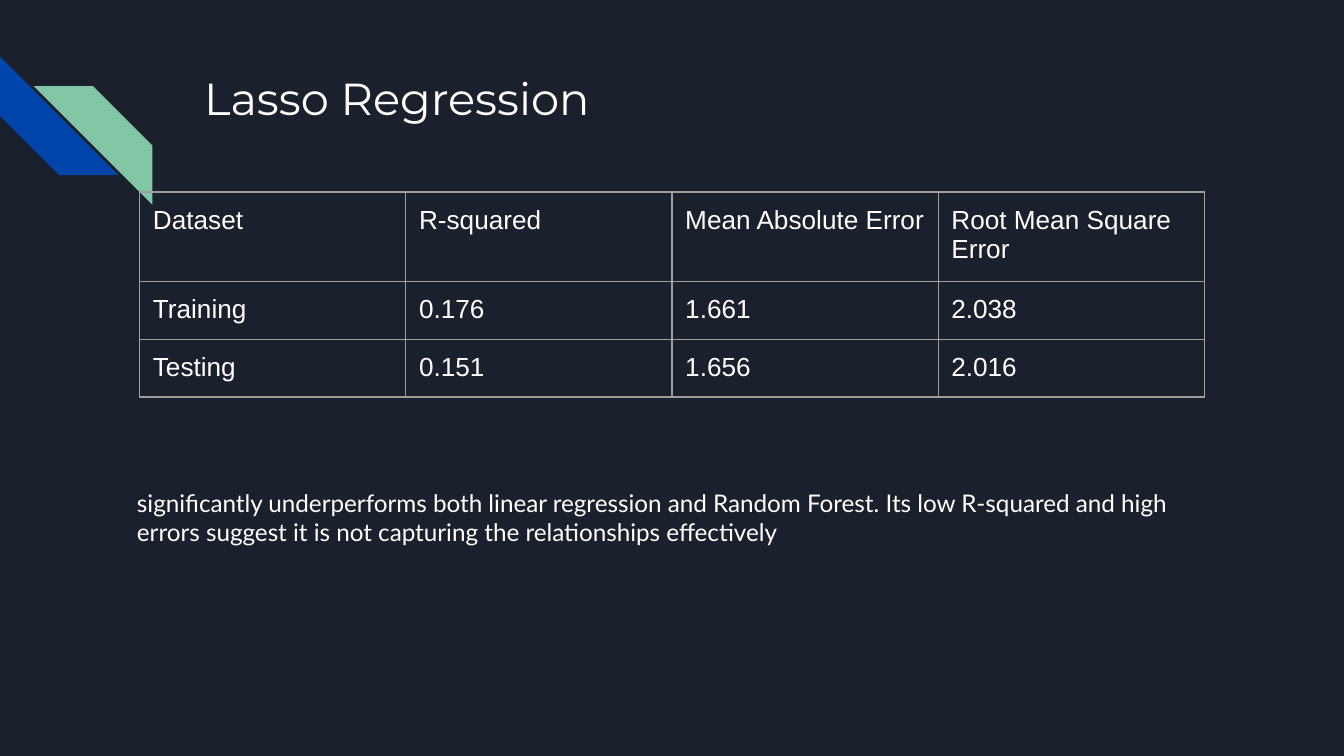
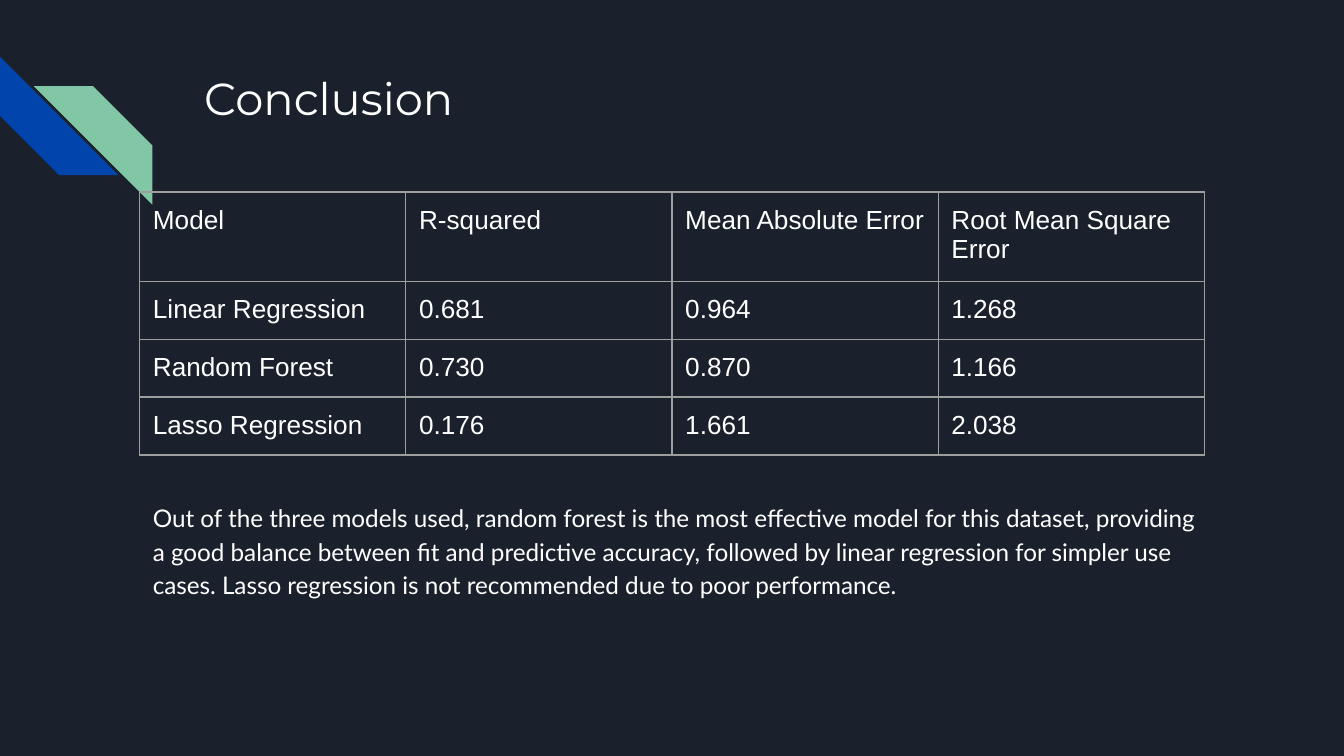
from dataclasses import dataclass

from lxml import etree
from pptx import Presentation
from pptx.dml.color import RGBColor
from pptx.enum.shapes import MSO_SHAPE
from pptx.enum.text import MSO_ANCHOR
from pptx.oxml.ns import qn
from pptx.util import Cm, Pt

STRIPE = MSO_SHAPE.DIAGONAL_STRIPE
TOP = MSO_ANCHOR.TOP
BLANK_LAYOUT = 6


@dataclass(frozen=True)
class Theme:
    background: str = "1B212C"
    blue: str = "0145AC"
    green: str = "82C7A5"
    text: str = "FFFFFF"
    border: str = "9E9E9E"
    title_font: str = "Montserrat"
    table_font: str = "Arial"
    note_font: str = "Lato"
    title_size: int = 24
    table_size: int = 14
    note_size: int = 13
    border_width: float = 0.75
    inset: float = 0.25


def color(value):
    return RGBColor.from_string(value)


def write(frame, text, *, font, size, fill, spacing=None, after=None):
    """Put one formatted paragraph into a text frame."""
    para = frame.paragraphs[0]
    para.line_spacing = spacing
    para.space_after = None if after is None else Pt(after)
    span = para.add_run()
    span.text = text
    span.font.name = font
    span.font.size = Pt(size)
    span.font.color.rgb = color(fill)


class Slides:
    """Holds the deck, its theme and the current page."""

    def __init__(self, theme):
        self.theme = theme
        self.deck = Presentation()
        self.deck.slide_width = Cm(25.4)
        self.deck.slide_height = Cm(14.29)
        self.page = None

    def start_page(self, title):
        theme = self.theme
        self.page = self.deck.slides.add_slide(self.deck.slide_layouts[BLANK_LAYOUT])
        self.page.background.fill.solid()
        self.page.background.fill.fore_color.rgb = color(theme.background)
        self.stripe(0, 1.07, 270, theme.blue)
        self.stripe(0.64, 1.63, 90, theme.green)
        self.text_box(title, 3.61, 1.09, 19.56, 2.54,
                      font=theme.title_font, size=theme.title_size)

    def stripe(self, left, top, rotation, fill):
        side = Cm(2.24)
        shape = self.page.shapes.add_shape(STRIPE, Cm(left), Cm(top), side, side)
        shape.rotation = rotation
        shape.shadow.inherit = False
        shape.fill.solid()
        shape.fill.fore_color.rgb = color(fill)
        shape.line.fill.background()

    def set_insets(self, target):
        inset = Cm(self.theme.inset)
        target.margin_left = target.margin_right = inset
        target.margin_top = target.margin_bottom = inset
        target.vertical_anchor = TOP

    def text_box(self, text, left, top, width, height, **style):
        box = self.page.shapes.add_textbox(Cm(left), Cm(top), Cm(width), Cm(height))
        box.text_frame.word_wrap = True
        self.set_insets(box.text_frame)
        write(box.text_frame, text, fill=self.theme.text, **style)

    def note(self, text, left, top, width, height, **style):
        self.text_box(text, left, top, width, height,
                      font=self.theme.note_font, size=self.theme.note_size, **style)

    def table(self, rows, left=2.64, top=3.63, column_width=5.03, row_height=1.07):
        theme = self.theme
        columns = len(rows[0])
        table = self.page.shapes.add_table(
            len(rows), columns, Cm(left), Cm(top),
            Cm(column_width * columns), Cm(row_height * len(rows))).table
        table.first_row = False
        table.horz_banding = False
        for row, values in enumerate(rows):
            for column, value in enumerate(values):
                cell = table.cell(row, column)
                self.set_insets(cell)
                self.set_borders(cell)
                cell.fill.background()
                write(cell.text_frame, value, font=theme.table_font,
                      size=theme.table_size, fill=theme.text)

    def set_borders(self, cell):
        properties = cell._tc.get_or_add_tcPr()
        for edge in ("a:lnL", "a:lnR", "a:lnT", "a:lnB"):
            line = etree.SubElement(properties, qn(edge),
                                    w=str(Pt(self.theme.border_width)))
            fill = etree.SubElement(line, qn("a:solidFill"))
            etree.SubElement(fill, qn("a:srgbClr"), val=self.theme.border)


METRICS = ["R-squared", "Mean Absolute Error", "Root Mean Square Error"]


def main():
    slides = Slides(Theme())

    # Lasso regression results
    slides.start_page("Lasso Regression")
    slides.table([
        ["Dataset", *METRICS],
        ["Training", "0.176", "1.661", "2.038"],
        ["Testing", "0.151", "1.656", "2.016"],
    ])
    slides.note(
        "significantly underperforms both linear regression and Random Forest. "
        "Its low R-squared and high errors suggest it is not capturing the "
        "relationships effectively",
        2.34, 8.97, 20.12, 1.63)

    # Comparison of the three models
    slides.start_page("Conclusion")
    slides.note(
        "Out of the three models used, random forest is the most effective model "
        "for this dataset, providing a good balance between fit and predictive "
        "accuracy, followed by linear regression for simpler use cases. Lasso "
        "regression is not recommended due to poor performance.",
        2.64, 9.19, 20.52, 2.84, spacing=1.15, after=12)
    slides.table([
        ["Model", *METRICS],
        ["Linear Regression", "0.681", "0.964", "1.268"],
        ["Random Forest", "0.730", "0.870", "1.166"],
        ["Lasso Regression", "0.176", "1.661", "2.038"],
    ])

    slides.deck.save("out.pptx")


if __name__ == "__main__":
    main()
